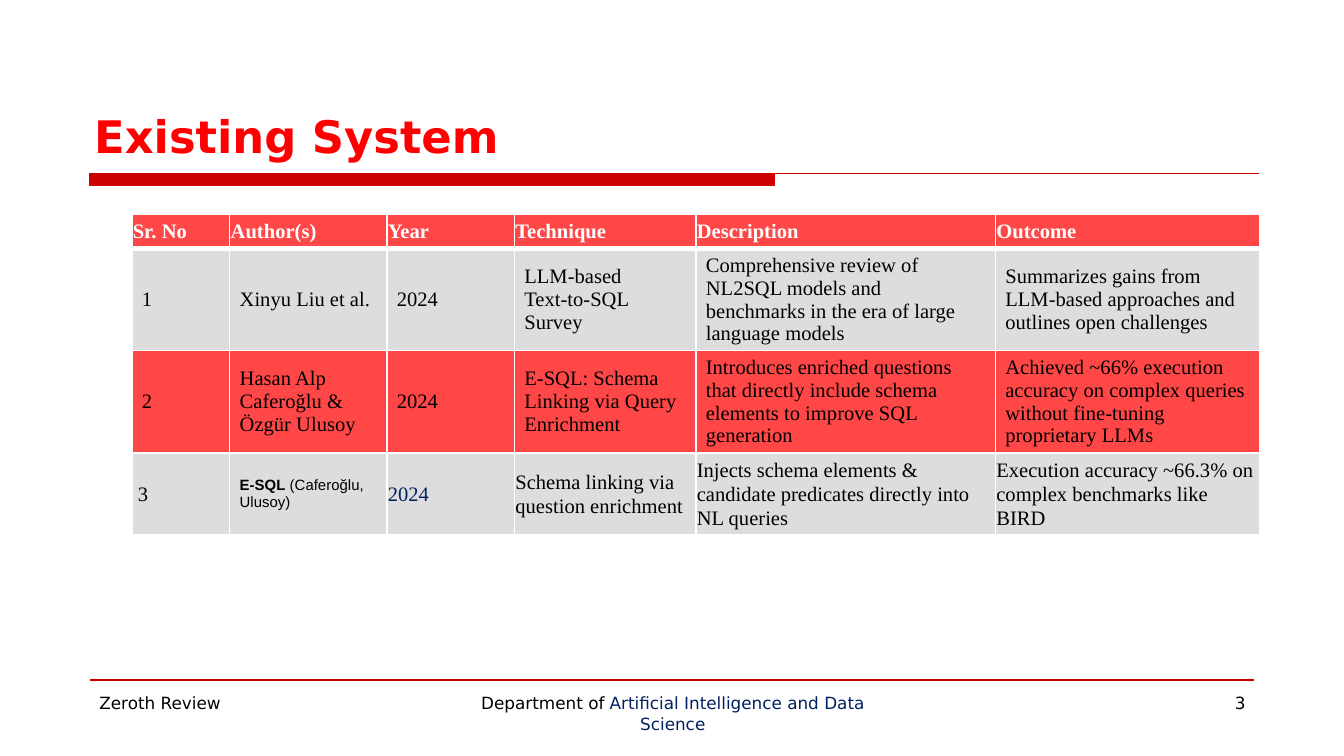
import pptx
import pptx.dml.color
import pptx.enum.shapes
import pptx.enum.text
import pptx.oxml
import pptx.oxml.ns
import pptx.util

Cm = pptx.util.Cm
Pt = pptx.util.Pt
ALIGN = pptx.enum.text.PP_ALIGN
ANCHOR = pptx.enum.text.MSO_ANCHOR

COLORS = {
    "title": "FF0000", "rule": "CC0000", "ink": "000000", "navy": "002060",
    "white": "FFFFFF", "red": "FF4747", "grey": "DDDDDD",
}
SANS, SERIF, SMALL = "DejaVu Sans", "Times New Roman", "Arial"

COLUMN_WIDTHS = [1.85, 2.97, 2.41, 3.43, 5.66, 5.0]
ROW_HEIGHTS = [0.66, 1.6, 1.68, 1.55]
ROW_FILLS = ["red", "grey", "red", "grey"]
STUDIES = [
    ["Sr. No", "Author(s)", "Year", "Technique", "Description", "Outcome"],
    ["1", "Xinyu Liu et al.", "2024", "LLM‑based Text‑to‑SQL Survey",
     "Comprehensive review of NL2SQL models and benchmarks in the era of "
     "large language models",
     "Summarizes gains from LLM-based approaches and outlines open challenges"],
    ["2", "Hasan Alp Caferoğlu & Özgür Ulusoy", "2024",
     "E‑SQL: Schema Linking via Query Enrichment",
     "Introduces enriched questions that directly include schema elements to "
     "improve SQL generation",
     "Achieved ~66% execution accuracy on complex queries without "
     "fine-tuning proprietary LLMs"],
    [" 3", None, "2024", "Schema linking via question enrichment",
     "Injects schema elements & candidate predicates directly into NL queries",
     "Execution accuracy ~66.3% on complex benchmarks like BIRD"],
]


def rgb(name):
    return pptx.dml.color.RGBColor.from_string(COLORS[name])


def add_run(paragraph, text, size, font, color="ink", bold=False):
    run = paragraph.add_run()
    run.text = text
    run.font.size = Pt(size)
    run.font.name = font
    run.font.bold = bold
    run.font.color.rgb = rgb(color)


def set_margins(holder, side, end):
    holder.margin_left = holder.margin_right = Cm(side)
    holder.margin_top = holder.margin_bottom = Cm(end)


def add_title(slide, text):
    title = slide.shapes.title
    title.left, title.top, title.width, title.height = (
        Cm(1.6), Cm(0.64), Cm(22.23), Cm(2.54))
    frame = title.text_frame
    frame.auto_size = pptx.enum.text.MSO_AUTO_SIZE.NONE
    frame.vertical_anchor = ANCHOR.BOTTOM
    set_margins(frame, 0.18, 0.1)
    frame.paragraphs[0].alignment = ALIGN.LEFT
    add_run(frame.paragraphs[0], text, 24, SANS, "title", True)


def add_rule(slide, left, right, y):
    rule = slide.shapes.add_connector(
        pptx.enum.shapes.MSO_CONNECTOR.STRAIGHT, Cm(left), Cm(y), Cm(right), Cm(y))
    rule.line.color.rgb = rgb("rule")
    rule.line.width = Pt(0.75)
    properties = rule._element.spPr
    properties.append(properties.makeelement(pptx.oxml.ns.qn("a:effectLst"), {}))


def add_bar(slide, left, top, width, height):
    bar = slide.shapes.add_shape(
        pptx.enum.shapes.MSO_SHAPE.RECTANGLE, Cm(left), Cm(top), Cm(width), Cm(height))
    bar.shadow.inherit = False
    bar.fill.solid()
    bar.fill.fore_color.rgb = rgb("rule")
    bar.line.color.rgb = rgb("rule")
    bar.line.width = Pt(0.75)


def add_footer(slide, left, width, alignment, parts):
    footer = slide.shapes.add_textbox(Cm(left), Cm(13), Cm(width), Cm(0.99))
    frame = footer.text_frame
    frame.word_wrap = True
    set_margins(frame, 0.18, 0.1)
    frame.paragraphs[0].alignment = alignment
    for text, color in parts:
        add_run(frame.paragraphs[0], text, 9, SANS, color)


def set_borders(cell, top, bottom):
    properties = cell._tc.get_or_add_tcPr()
    widths = {"lnL": 1, "lnR": 1, "lnT": top, "lnB": bottom}
    for position, (tag, width) in enumerate(widths.items()):
        border = pptx.oxml.parse_xml(
            f'<a:{tag} {pptx.oxml.ns.nsdecls("a")} w="{Pt(width)}"><a:solidFill>'
            f'<a:srgbClr val="{COLORS["white"]}"/></a:solidFill></a:{tag}>')
        properties.insert(position, border)


def format_cell(cell, row, compact):
    cell.fill.solid()
    cell.fill.fore_color.rgb = rgb(ROW_FILLS[row])
    cell.vertical_anchor = ANCHOR.MIDDLE
    if compact:
        set_margins(cell, 0.02, 0)
        cell.text_frame.paragraphs[0].line_spacing = 1.07
    else:
        set_margins(cell, 0.19, 0.1)
    # The header is set off by a thicker border
    set_borders(cell, 3 if row == 1 else 1, 3 if row == 0 else 1)


def add_studies_table(slide):
    table = slide.shapes.add_table(
        len(STUDIES), len(COLUMN_WIDTHS), Cm(2.49), Cm(4.04),
        Cm(sum(COLUMN_WIDTHS)), Cm(sum(ROW_HEIGHTS))).table
    for column, width in zip(table.columns, COLUMN_WIDTHS):
        column.width = Cm(width)
    for row, study in enumerate(STUDIES):
        table.rows[row].height = Cm(ROW_HEIGHTS[row])
        for column, text in enumerate(study):
            cell = table.cell(row, column)
            format_cell(cell, row, row in (0, 3) and text is not None)
            paragraph = cell.text_frame.paragraphs[0]
            if text is None:
                add_run(paragraph, "E‑SQL", 8, SMALL, bold=True)
                add_run(paragraph, " (Caferoğlu, Ulusoy)", 8, SMALL)
                continue
            color = "white" if row == 0 else "navy" if (row, column) == (3, 2) else "ink"
            add_run(paragraph, text, 11, SERIF, color, row == 0)


def main():
    deck = pptx.Presentation()
    deck.slide_width, deck.slide_height = Cm(25.4), Cm(14.29)
    slide = deck.slides.add_slide(deck.slide_layouts[5])

    # Heading with its rule
    add_bar(slide, 1.7, 3.28, 12.93, 0.23)
    add_rule(slide, 1.7, 23.8, 3.28)
    add_title(slide, "Existing System")

    # Survey of earlier work
    add_studies_table(slide)

    # Footer
    add_rule(slide, 1.7, 23.7, 12.85)
    add_footer(slide, 1.7, 5.51, ALIGN.LEFT, [("Zeroth Review", "ink")])
    add_footer(slide, 8.69, 8.05, ALIGN.CENTER, [
        ("Department of ", "ink"),
        ("Artificial Intelligence and Data Science", "navy")])
    add_footer(slide, 18.21, 5.51, ALIGN.RIGHT, [("3", "ink")])

    deck.save("out.pptx")


if __name__ == "__main__":
    main()
